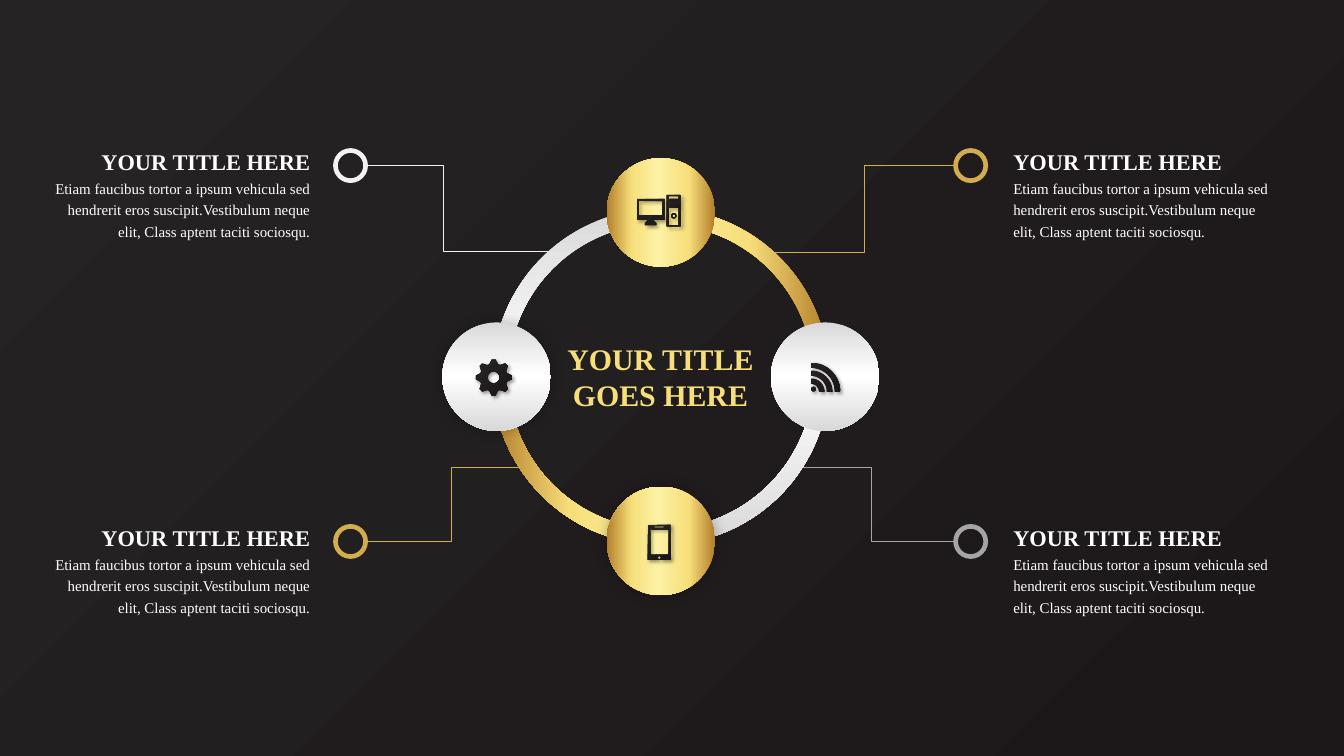
import math

from lxml import etree
from pptx import Presentation
from pptx import util as u
from pptx.dml.color import RGBColor
from pptx.enum import shapes, text
from pptx.oxml.ns import qn

WHITE = RGBColor(0xFF, 0xFF, 0xFF)
PALE = RGBColor(0xF2, 0xF2, 0xF2)
SILVER = RGBColor(0xD9, 0xD9, 0xD9)
GREY = RGBColor(0xA5, 0xA5, 0xA5)
OCHRE = RGBColor(0xD4, 0xAC, 0x50)
BRONZE = RGBColor(0xB3, 0x7E, 0x2A)
GOLD = RGBColor(0xF7, 0xDE, 0x7A)
CREAM = RGBColor(0xFC, 0xF2, 0xA5)
INK = RGBColor(0x1C, 0x18, 0x19)
COAL = RGBColor(0x25, 0x23, 0x24)

# Gradients: stops in percent, then the angle (None runs from the lower right corner)
GOLD_BLEND = ([(0, BRONZE), (24, GOLD), (53, CREAM), (77, GOLD), (100, BRONZE)], 180)
SILVER_BLEND = ([(0, SILVER), (49, WHITE), (100, SILVER)], 90)
DARK_BLEND = ([(0, INK), (100, COAL)], None)

# Shadows: opacity in percent, blur and distance in points, angle
NODE_SHADOW = (28, 15, 0, 0)
ICON_SHADOW = (40, 4, 3, 45)

TITLE = "YOUR TITLE HERE"
BODY = ("Etiam faucibus tortor a ipsum vehicula sed hendrerit eros "
        "suscipit.Vestibulum neque elit, Class aptent taciti sociosqu.")


def child(parent, tag, **attributes):
    values = {name: str(value) for name, value in attributes.items()}
    return etree.SubElement(parent, qn(tag), values)


def blend(fill, owner, gradient):
    stops, angle = gradient
    fill.gradient()
    node = next(owner.iter(qn("a:gradFill")))
    for part in list(node):
        node.remove(part)
    stop_list = child(node, "a:gsLst")
    for position, color in stops:
        child(child(stop_list, "a:gs", pos=position * 1000), "a:srgbClr", val=color)
    if angle is None:
        child(child(node, "a:path", path="circle"), "a:fillToRect", l=100000, t=100000)
    else:
        child(node, "a:lin", ang=angle * 60000, scaled=0)


# Outlines, in centimetres from the centre of a node
def arc(x, y, radius, start, end, steps=16):
    angles = [math.radians(start + (end - start) * i / steps) for i in range(steps + 1)]
    return [(x + radius * math.cos(a), y + radius * math.sin(a)) for a in angles]


def disc(x, y, radius):
    return arc(x, y, radius, 0, 360)


def rect(left, top, right, bottom):
    return [(left, top), (right, top), (right, bottom), (left, bottom)]


def computer():
    stand = [(-0.5, 0.28), (-0.6, 0.41), (-0.6, 0.48), (-0.17, 0.48), (-0.17, 0.41), (-0.29, 0.28)]
    bars = [(-0.51, -0.41), (-0.38, -0.33), (-0.3, -0.25), (-0.23, -0.18)]
    return [rect(-0.9, -0.51, 0.14, 0.28), rect(-0.83, -0.43, 0.06, 0.1), stand,
            disc(-0.38, 0.19, 0.06), disc(-0.38, 0.19, 0.04),
            rect(0.22, -0.66, 0.75, 0.53), rect(0.29, -0.61, 0.67, 0.48),
            *[rect(0.32, top, 0.65, bottom) for top, bottom in bars],
            disc(0.49, 0.13, 0.1), disc(0.49, 0.13, 0.06)]


def phone():
    return [rect(-0.5, -0.62, 0.37, 0.72), rect(-0.39, -0.42, 0.29, 0.52),
            rect(-0.24, -0.55, 0.11, -0.5), disc(-0.06, 0.63, 0.06)]


def signal():
    x, y = -0.53, 0.57
    waves = [arc(x, y, outer, -90, 0) + arc(x, y, outer - 0.2, 0, -90)
             for outer in (1.1, 0.8, 0.5)]
    return waves + [disc(x + 0.09, y - 0.1, 0.09)]


def gear():
    x, y = -0.11, 0.03
    rim = []
    for tooth in range(0, 360, 45):
        for radius, turn in ((0.53, -18), (0.69, -6), (0.69, 6), (0.53, 18)):
            angle = math.radians(tooth + turn)
            rim.append((x + radius * math.cos(angle), y + radius * math.sin(angle)))
    return [rim, disc(x, y, 0.22)]


class Board:
    font = "Times New Roman"

    def __init__(self, page):
        self.page = page
        blend(page.background.fill, page.element, DARK_BLEND)

    def text(self, left, top, width, height, lines, size, align, bold=False,
             spacing=None, inset=True, gradient=None):
        box = self.page.shapes.add_textbox(u.Cm(left), u.Cm(top), u.Cm(width), u.Cm(height))
        frame = box.text_frame
        frame.word_wrap = inset
        frame.auto_size = text.MSO_AUTO_SIZE.SHAPE_TO_FIT_TEXT
        if not inset:
            frame.margin_left = frame.margin_right = frame.margin_top = frame.margin_bottom = 0
        frame.text = "\n".join(lines)
        for para in frame.paragraphs:
            para.alignment = align
            para.line_spacing = spacing
            para.font.name, para.font.size, para.font.bold = self.font, u.Pt(size), bold
            if gradient:
                blend(para.font.fill, para._p, gradient)
            else:
                para.font.color.rgb = WHITE

    def finish(self, shape, gradient, shadow=None):
        shape.shadow.inherit = False
        shape.line.fill.background()
        blend(shape.fill, shape.element, gradient)
        if shadow:
            opacity, blur, distance, angle = shadow
            effects = shape.element.spPr.find(qn("a:effectLst"))
            outer = child(effects, "a:outerShdw", blurRad=u.Pt(blur), dist=u.Pt(distance),
                          dir=angle * 60000, algn="ctr", rotWithShape=0)
            child(child(outer, "a:srgbClr", val="000000"), "a:alpha", val=opacity * 1000)

    def round(self, kind, x, y, radius):
        return self.page.shapes.add_shape(kind, u.Cm(x - radius), u.Cm(y - radius),
                                          u.Cm(2 * radius), u.Cm(2 * radius))

    def marker(self, x, y, radius, color):
        shape = self.round(shapes.MSO_SHAPE.OVAL, x, y, radius)
        shape.shadow.inherit = False
        shape.fill.background()
        shape.line.color.rgb, shape.line.width = color, u.Pt(5)

    def node(self, x, y, radius, gradient, shadow):
        self.finish(self.round(shapes.MSO_SHAPE.OVAL, x, y, radius), gradient, shadow)

    def ring_part(self, x, y, radius, start, end, gradient):
        shape = self.round(shapes.MSO_SHAPE.BLOCK_ARC, x, y, radius)
        # Angles count in 60000ths of a degree, scaled by 100000
        for index, value in enumerate((start * 0.6, end * 0.6, 0.046)):
            shape.adjustments[index] = value
        self.finish(shape, gradient)

    def icon(self, x, y, outlines):
        placed = [[(u.Cm(x + dx), u.Cm(y + dy)) for dx, dy in outline] for outline in outlines]
        builder = self.page.shapes.build_freeform(*placed[0][0])
        for index, outline in enumerate(placed):
            if index:
                builder.move_to(*outline[0])
            builder.add_line_segments(outline[1:], close=True)
        self.finish(builder.convert_to_shape(), DARK_BLEND, ICON_SHADOW)

    def elbow(self, x1, y1, x2, y2, color, bend):
        line = self.page.shapes.add_connector(shapes.MSO_CONNECTOR.ELBOW, u.Cm(x1), u.Cm(y1),
                                              u.Cm(x2), u.Cm(y2))
        line.line.color.rgb, line.line.width = color, u.Pt(0.5)
        properties = line.element.spPr
        guides = next(properties.iter(qn("a:avLst")))
        child(guides, "a:gd", name="adj1", fmla=f"val {round(bend * 100000)}")
        child(properties, "a:effectLst")


def main():
    deck = Presentation()
    deck.slide_width, deck.slide_height = u.Cm(50.8), u.Cm(28.58)
    board = Board(deck.slides.add_slide(deck.slide_layouts[6]))

    # Four labels with markers and leader lines
    left, right = text.PP_ALIGN.LEFT, text.PP_ALIGN.RIGHT
    labels = [
        # align, title x, body x, marker x, marker y, colour, line start, line end x, bend
        (left, 38.05, 38.05, 36.69, 6.26, OCHRE, (29.21, 9.53), 36.12, 0.5),
        (left, 38.05, 38.05, 36.69, 20.47, GREY, (29.77, 17.65), 36.12, 0.5),
        (right, 2.5, 1.56, 13.25, 6.26, PALE, (20.78, 9.5), 13.82, 0.58),
        (right, 2.5, 1.56, 13.25, 20.47, OCHRE, (20.27, 17.65), 13.82, 0.5),
    ]
    for align, title_x, body_x, x, y, color, start, end_x, bend in labels:
        board.text(title_x, y - 0.98, 9.47, 1.37, [TITLE], 24, align, bold=True, spacing=1.2)
        board.text(body_x, y + 0.27, 10.41, 2.64, [BODY], 16, align, spacing=1.2)
        board.marker(x, y, 0.57, color)
        board.elbow(*start, end_x, y, color, bend)

    # Ring in four quarters
    x, y, reach = 24.98, 14.24, 6.21
    for start, gradient in ((180, SILVER_BLEND), (90, GOLD_BLEND),
                            (0, SILVER_BLEND), (270, GOLD_BLEND)):
        board.ring_part(x, y, 6.36, start, (start + 90) % 360, gradient)

    # Nodes on the ring, then their icons
    nodes = [
        (x, y - reach, GOLD_BLEND, None, computer),
        (x + reach, y, SILVER_BLEND, None, signal),
        (x, y + reach, GOLD_BLEND, NODE_SHADOW, phone),
        (x - reach, y, SILVER_BLEND, NODE_SHADOW, gear),
    ]
    for node_x, node_y, gradient, shadow, _ in nodes:
        board.node(node_x, node_y, 2.05, gradient, shadow)
    for node_x, node_y, _, _, outline in nodes:
        board.icon(node_x, node_y, outline())

    # Centre title
    board.text(21.41, 12.88, 7.11, 2.74, ["YOUR TITLE", "GOES HERE"], 32,
               text.PP_ALIGN.CENTER, bold=True, inset=False, gradient=GOLD_BLEND)

    deck.save("out.pptx")


if __name__ == "__main__":
    main()
